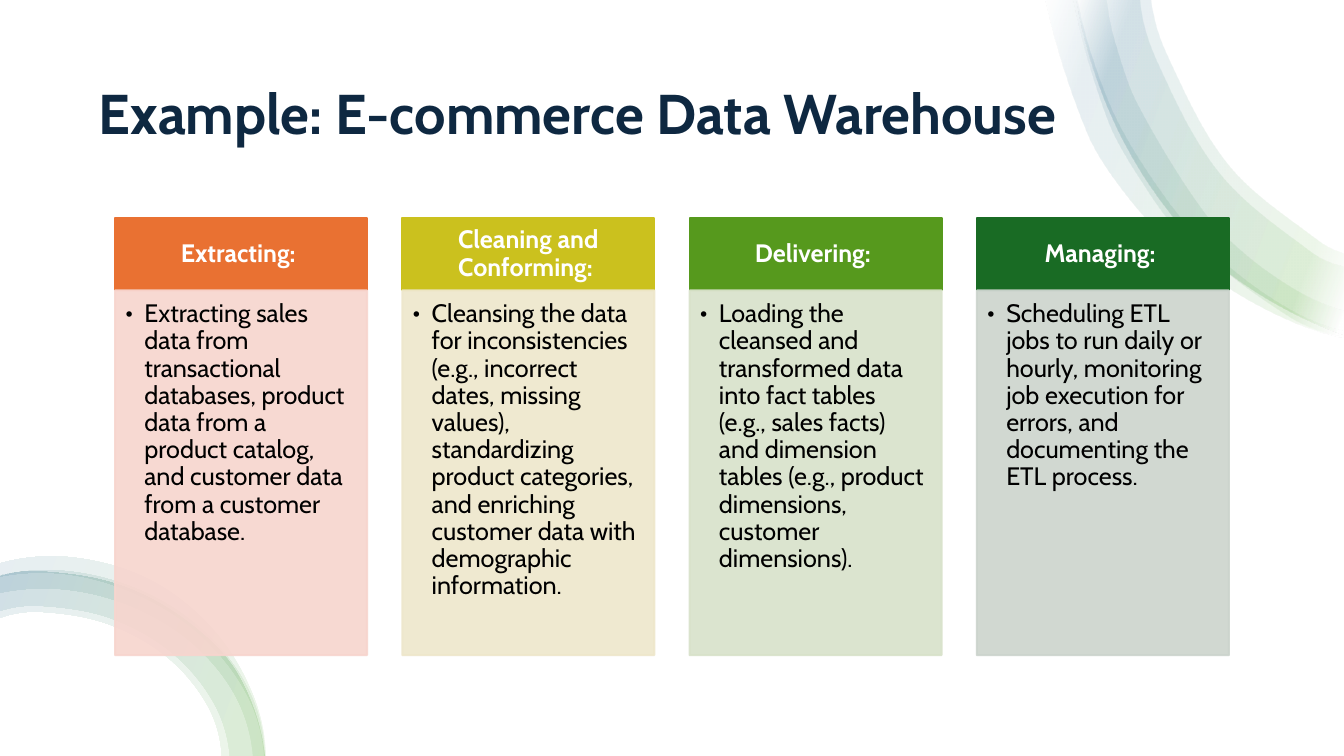
from lxml.etree import SubElement
from pptx import Presentation
from pptx.dml.color import RGBColor
from pptx.enum.shapes import MSO_SHAPE as Shape
from pptx.enum.text import MSO_ANCHOR as Anchor, MSO_AUTO_SIZE as AutoSize, PP_ALIGN as Align
from pptx.oxml.ns import qn
from pptx.util import Cm, Pt

FONT = "Cabin"
COLOURS = {
    "title": "0E2841", "white": "FFFFFF", "black": "000000",
    "ribbon green": "4EA72E", "ribbon blue": "156082",
    "orange": "E97132", "pale orange": "F7D5CE",
    "yellow": "CBC11E", "pale yellow": "EEE7CB",
    "green": "56991D", "pale green": "D8E2CA",
    "forest": "196B24", "pale forest": "CCD4CD",
}
TOP_STOPS = [(2, "white"), (16, "ribbon green"), (85, "ribbon blue"), (100, "white")]
BOTTOM_STOPS = [(0, "ribbon green"), (100, "ribbon blue")]

# Ribbon edges, in inches: each ribbon is an outer edge followed by an inner edge.
TOP_OUTER = [(13.33, 3.32), (12.23, 2.74), (11.52, 2), (10.99, 1.07), (10.68, 0)]
BOTTOM_OUTER = [(2.63, 7.5), (2.36, 6.69), (1.85, 6.16), (1.17, 5.8), (0.4, 5.67), (0, 5.72)]
TOP_RIBBONS = [
    ([(13.33, 3.35), (12.82, 3.19), (12.21, 2.87), (11.65, 2.45), (11.16, 1.92),
      (10.78, 1.31), (10.37, 0)],
     [(10.69, 0), (10.82, 0.52), (11.06, 1.15), (11.4, 1.73), (11.81, 2.27),
      (12.3, 2.73), (12.86, 3.1), (13.33, 3.28)]),
    (TOP_OUTER, [(11.42, 0), (11.58, 0.55), (12.19, 1.64), (13.07, 2.38), (13.33, 2.51)]),
    ([(13.33, 3.33), (12.79, 3.14), (11.73, 2.33), (11.32, 1.79), (10.99, 1.19), (10.65, 0)],
     [(10.98, 0), (11.07, 0.44), (11.29, 1.04), (11.95, 2.11), (12.39, 2.55),
      (12.9, 2.9), (13.33, 3.08)]),
    (TOP_OUTER, [(11.31, 0), (11.47, 0.59), (12.1, 1.72), (13.01, 2.5), (13.33, 2.64)]),
]
BOTTOM_RIBBONS = [
    (BOTTOM_OUTER, [(0, 6.13), (0.4, 6.07), (1.07, 6.19), (1.66, 6.52), (2.06, 7), (2.2, 7.5)]),
    (BOTTOM_OUTER, [(0, 6.06), (0.4, 6.01), (1.09, 6.13), (1.7, 6.47), (2.12, 6.97), (2.28, 7.5)]),
    ([(2.63, 7.5), (2.47, 6.85), (2.03, 6.27), (1.42, 5.87), (0.69, 5.67), (0, 5.71)],
     [(0, 5.88), (0.67, 5.85), (1.34, 6.03), (1.92, 6.39), (2.34, 6.91), (2.51, 7.5)]),
    ([(2.64, 7.5), (2.5, 6.87), (2.1, 6.23), (1.48, 5.75), (0.71, 5.53), (0, 5.59)],
     [(0, 5.72), (0.69, 5.7), (1.39, 5.91), (2, 6.31), (2.45, 6.89), (2.62, 7.5)]),
]

STAGES = [
    ("Extracting: ", "orange",
     "Extracting sales data from transactional databases, product data from a product "
     "catalog, and customer data from a customer database."),
    ("Cleaning and Conforming: ", "yellow",
     "Cleansing the data for inconsistencies (e.g., incorrect dates, missing values), "
     "standardizing product categories, and enriching customer data with demographic "
     "information."),
    ("Delivering: ", "green",
     "Loading the cleansed and transformed data into fact tables (e.g., sales facts) and "
     "dimension tables (e.g., product dimensions, customer dimensions)."),
    ("Managing: ", "forest",
     "Scheduling ETL jobs to run daily or hourly, monitoring job execution for errors, "
     "and documenting the ETL process."),
]


def bend(lines):
    """Turn a chain of lnTo elements into one smooth Bezier curve through its points."""
    first = lines[0].getprevious()
    points = [complex(int(node[0].get("x")), int(node[0].get("y"))) for node in [first, *lines]]
    aims = [(c - a) / abs(c - a) for a, c in zip(points, points[2:])]
    start, end = points[1] - points[0], points[-1] - points[-2]
    aims.insert(0, (start / abs(start)) ** 2 * aims[0].conjugate())
    aims.append((end / abs(end)) ** 2 * aims[-1].conjugate())
    for index, line in enumerate(lines):
        a, b = points[index:index + 2]
        reach = abs(b - a) / 3
        line.tag = qn("a:cubicBezTo")
        line.remove(line[0])
        for point in (a + reach * aims[index], b - reach * aims[index + 1], b):
            SubElement(line, qn("a:pt"), x=str(round(point.real)), y=str(round(point.imag)))


def write(box, text, size, colour, bold=False):
    """Put one run in the box's first paragraph and return that paragraph."""
    para = box.text_frame.paragraphs[0]
    para.line_spacing = 0.9
    span = para.add_run()
    span.text = text
    span.font.name, span.font.size, span.font.bold = FONT, Pt(size), bold
    span.font.color.rgb = RGBColor.from_string(COLOURS[colour])
    return para


deck = Presentation()
deck.slide_width, deck.slide_height = Cm(33.87), Cm(19.05)
page = deck.slides.add_slide(deck.slide_layouts[5])

# White backdrop behind everything
backdrop = page.shapes.add_shape(Shape.RECTANGLE, 0, 0, deck.slide_width, deck.slide_height)
backdrop.shadow.inherit = False
backdrop.fill.solid()
backdrop.fill.fore_color.rgb = RGBColor.from_string(COLOURS["white"])
backdrop.line.fill.background()
page.shapes.title._element.addprevious(backdrop._element)

# Ribbons in the corners
for ribbons, stops in ((TOP_RIBBONS, TOP_STOPS), (BOTTOM_RIBBONS, BOTTOM_STOPS)):
    for outer, inner in ribbons:
        outline = [(1000 * x, 1000 * y) for x, y in outer + inner]
        builder = page.shapes.build_freeform(*outline[0], scale=Cm(2.54) / 1000)
        builder.add_line_segments(outline[1:], close=True)
        ribbon = builder.convert_to_shape()
        lines = list(ribbon._element.spPr.iter(qn("a:lnTo")))
        bend(lines[len(outer):len(outer) + len(inner) - 1])
        bend(lines[:len(outer) - 1])
        ribbon.shadow.inherit = False
        ribbon.line.fill.background()
        ribbon.fill.gradient()
        ribbon.fill.gradient_angle = 160
        ramp = ribbon._element.spPr.find(qn("a:gradFill")).find(qn("a:gsLst"))
        ramp.clear()
        for position, colour in stops:
            stop = SubElement(ramp, qn("a:gs"), pos=str(position * 1000))
            tint = SubElement(stop, qn("a:srgbClr"), val=COLOURS[colour])
            SubElement(tint, qn("a:alpha"), val="10000")

# Title
title = page.shapes.title
title.left, title.top, title.width, title.height = Cm(2.24), Cm(1.27), Cm(29.39), Cm(3.3)
title.text_frame.auto_size = AutoSize.NONE
title.text_frame.vertical_anchor = Anchor.MIDDLE
write(title, "Example: E-commerce Data Warehouse", 40, "title", bold=True).alignment = Align.LEFT

# One column for each stage: a header above a pale body
for column, (heading, colour, detail) in enumerate(STAGES):
    left = Cm(2.9 + 7.24 * column)
    header = page.shapes.add_shape(Shape.RECTANGLE, left, Cm(5.49), Cm(6.35), Cm(1.83))
    body = page.shapes.add_shape(Shape.RECTANGLE, left, Cm(7.32), Cm(6.35), Cm(9.19))
    for box, fill, anchor, margins in (
            (header, colour, Anchor.MIDDLE, (0.36, 0.21, 0.36, 0.2)),
            (body, "pale " + colour, Anchor.TOP, (0.26, 0.26, 0.36, 0.41))):
        box.shadow.inherit = False
        box.fill.solid()
        box.fill.fore_color.rgb = RGBColor.from_string(COLOURS[fill])
        box.line.color.rgb = RGBColor.from_string(COLOURS[fill])
        box.line.width = Pt(1.5)
        frame = box.text_frame
        frame.word_wrap = True
        frame.vertical_anchor = anchor
        (frame.margin_left, frame.margin_top,
         frame.margin_right, frame.margin_bottom) = map(Cm, margins)
    for tint in body._element.spPr.iter(qn("a:srgbClr")):
        SubElement(tint, qn("a:alpha"), val="90000")

    write(header, heading, 18, "white", bold=True).alignment = Align.CENTER
    para = write(body, detail, 18, "black")
    para.alignment = Align.LEFT
    properties = para._p.get_or_add_pPr()
    properties.set("marL", str(Cm(0.48)))
    properties.set("indent", str(-Cm(0.48)))
    SubElement(properties, qn("a:buFont"), typeface=FONT)
    SubElement(properties, qn("a:buChar"), char="•")

deck.save("out.pptx")
